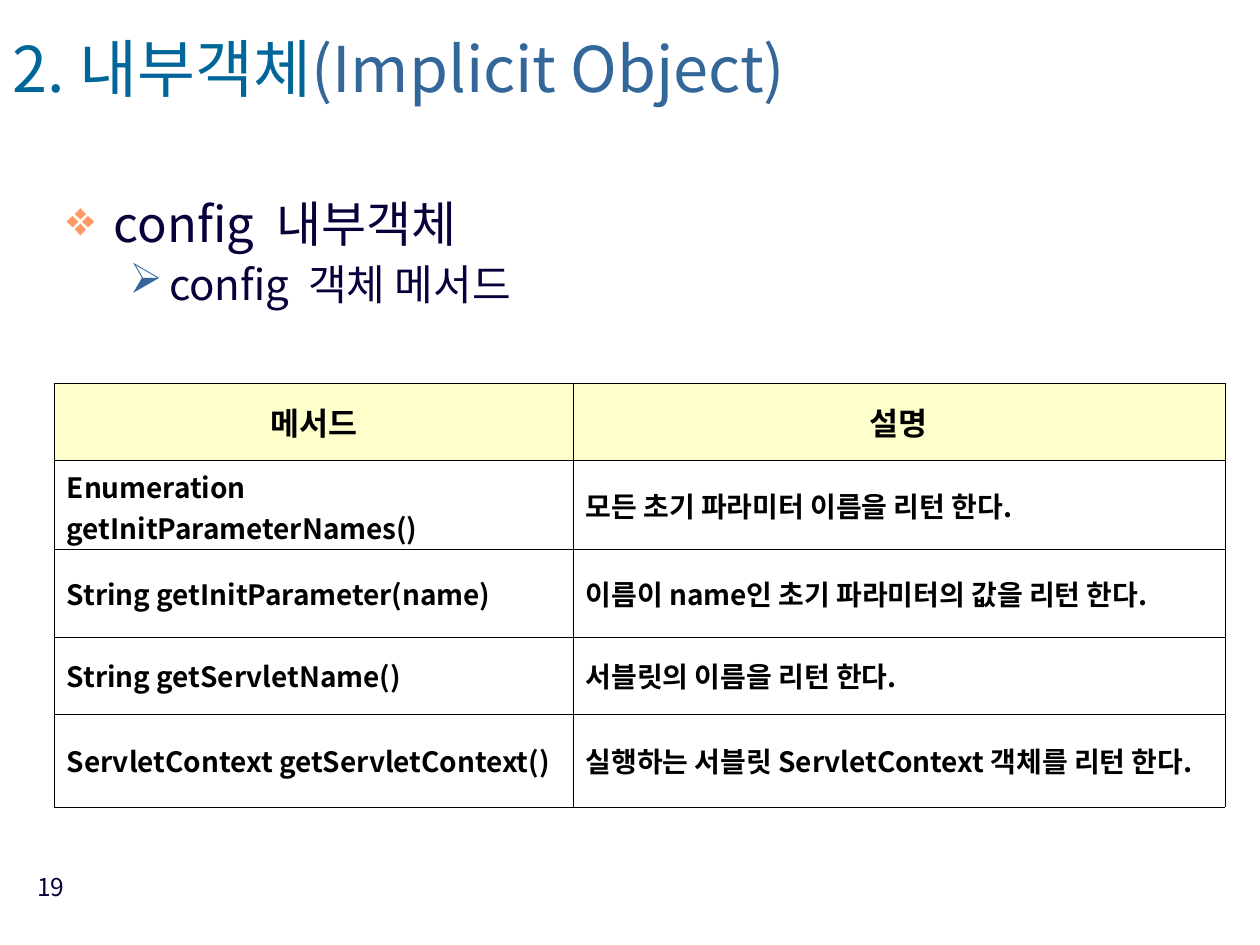
import pptx
import pptx.dml.color
import pptx.enum.text
import pptx.oxml
import pptx.oxml.ns
import pptx.util
from pptx.util import Pt

FONT = "Noto Sans CJK KR"
NAVY = "08003A"
BLACK = "000000"
ALIGN = pptx.enum.text.PP_ALIGN
ANCHOR = pptx.enum.text.MSO_ANCHOR

METHODS = [
    ("메서드", "설명"),
    ("Enumeration getInitParameterNames()", "모든 초기 파라미터 이름을 리턴 한다."),
    ("String getInitParameter(name)", "이름이 name인 초기 파라미터의 값을 리턴 한다."),
    ("String getServletName()", "서블릿의 이름을 리턴 한다."),
    ("ServletContext getServletContext()",
     "실행하는 서블릿 ServletContext 객체를 리턴 한다."),
]
COLUMN_WIDTHS = [296.6, 372.2]
ROW_HEIGHTS = [44, 51, 50, 44, 53]


def color(hex_code):
    return pptx.dml.color.RGBColor.from_string(hex_code)


def add_xml(parent, tag, content="", **attributes):
    values = "".join(f' {name}="{value}"' for name, value in attributes.items())
    parent.append(pptx.oxml.parse_xml(
        f'<a:{tag} {pptx.oxml.ns.nsdecls("a")}{values}>{content}</a:{tag}>'))


def format_font(para, size, hex_code, bold=False):
    """Set the paragraph's font for both Latin and Korean text."""
    font = para.font
    font.size = Pt(size)
    font.bold = bold
    font.color.rgb = color(hex_code)
    font.name = FONT
    add_xml(para._p.pPr.find(pptx.oxml.ns.qn("a:defRPr")), "ea", typeface=FONT)


def place(shape, left, top, width, height):
    shape.left, shape.top = Pt(left), Pt(top)
    shape.width, shape.height = Pt(width), Pt(height)


def add_text_box(page, left, top, width, height):
    box = page.shapes.add_textbox(Pt(left), Pt(top), Pt(width), Pt(height))
    box.text_frame.word_wrap = True
    return box.text_frame


def add_title(page):
    title = page.shapes.title
    place(title, 0, 20, 615, 48)
    frame = title.text_frame
    frame.auto_size = pptx.enum.text.MSO_AUTO_SIZE.NONE
    frame.vertical_anchor = ANCHOR.MIDDLE
    para = frame.paragraphs[0]
    para.alignment = ALIGN.LEFT
    para.line_spacing = 0.7
    format_font(para, 36, "006699")
    para.add_run().text = "2. 내부객체"
    span = para.add_run()
    span.text = "(Implicit Object)"
    span.font.color.rgb = color("336699")


def format_bullet(para, character, hex_code, margin, hanging):
    properties = para._p.get_or_add_pPr()
    properties.set("marL", str(Pt(margin)))
    properties.set("indent", str(-Pt(hanging)))
    add_xml(properties, "buClr", f'<a:srgbClr val="{hex_code}"/>')
    add_xml(properties, "buChar", char=character)


def add_outline(page):
    frame = add_text_box(page, 31, 111, 663, 108)
    items = [
        ("config  내부객체", 28, 7, "❖", "FF9966", 27, 27),
        ("config  객체 메서드", 24, 6, "➢", "336699", 58.5, 22.5),
    ]
    for level, (text, size, space, *bullet) in enumerate(items):
        para = frame.add_paragraph() if level else frame.paragraphs[0]
        para.text = text
        para.level = level
        format_bullet(para, *bullet)
        para.line_spacing = 0.9
        para.space_before = Pt(space)
        format_font(para, size, NAVY)


def format_cell(cell, text, is_header):
    # Borders come before the fill in the cell's properties
    properties = cell._tc.get_or_add_tcPr()
    for side in ("lnL", "lnR", "lnT", "lnB"):
        add_xml(properties, side,
                f'<a:solidFill><a:srgbClr val="{BLACK}"/></a:solidFill>',
                w=Pt(0.06))
    cell.fill.solid()
    cell.fill.fore_color.rgb = color("FFFFCC" if is_header else "FFFFFF")
    cell.vertical_anchor = ANCHOR.MIDDLE
    cell.text = text
    para = cell.text_frame.paragraphs[0]
    para.alignment = ALIGN.CENTER if is_header else ALIGN.JUSTIFY
    format_font(para, 18 if is_header else 16, BLACK, bold=True)


def add_method_table(page):
    table = page.shapes.add_table(
        len(METHODS), len(COLUMN_WIDTHS), Pt(31), Pt(219),
        Pt(sum(COLUMN_WIDTHS)), Pt(sum(ROW_HEIGHTS))).table
    table.first_row = table.horz_banding = False
    for column, width in zip(table.columns, COLUMN_WIDTHS):
        column.width = Pt(width)
    for row, height in zip(table.rows, ROW_HEIGHTS):
        row.height = Pt(height)
    for row_index, texts in enumerate(METHODS):
        for column_index, text in enumerate(texts):
            format_cell(table.cell(row_index, column_index), text, row_index == 0)


def add_page_number(page):
    para = add_text_box(page, 10, 494.6, 34, 37.4).paragraphs[0]
    para.text = "19"
    para.alignment = ALIGN.RIGHT
    format_font(para, 14, NAVY)


def main():
    deck = pptx.Presentation()
    deck.slide_width, deck.slide_height = Pt(720), Pt(540)
    page = deck.slides.add_slide(deck.slide_layouts[5])
    add_title(page)
    add_outline(page)
    add_method_table(page)
    add_page_number(page)
    deck.save("out.pptx")


if __name__ == "__main__":
    main()
